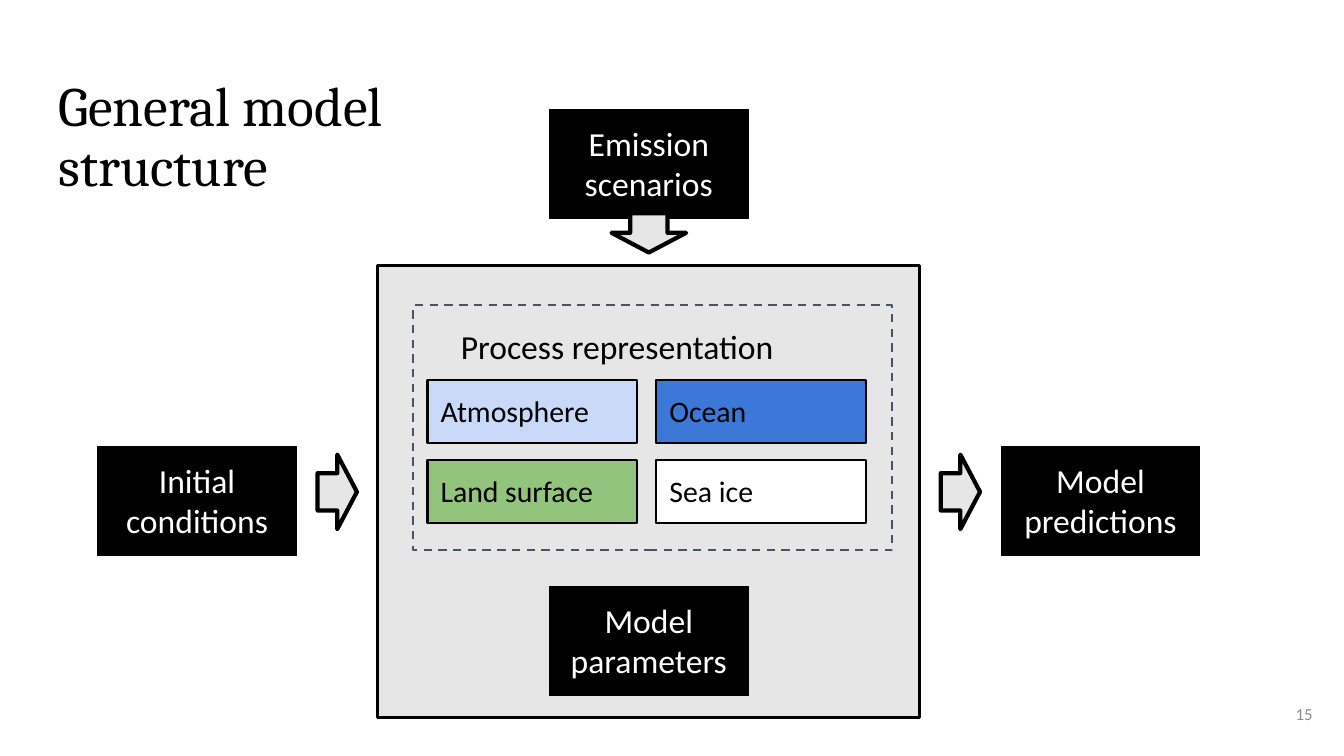
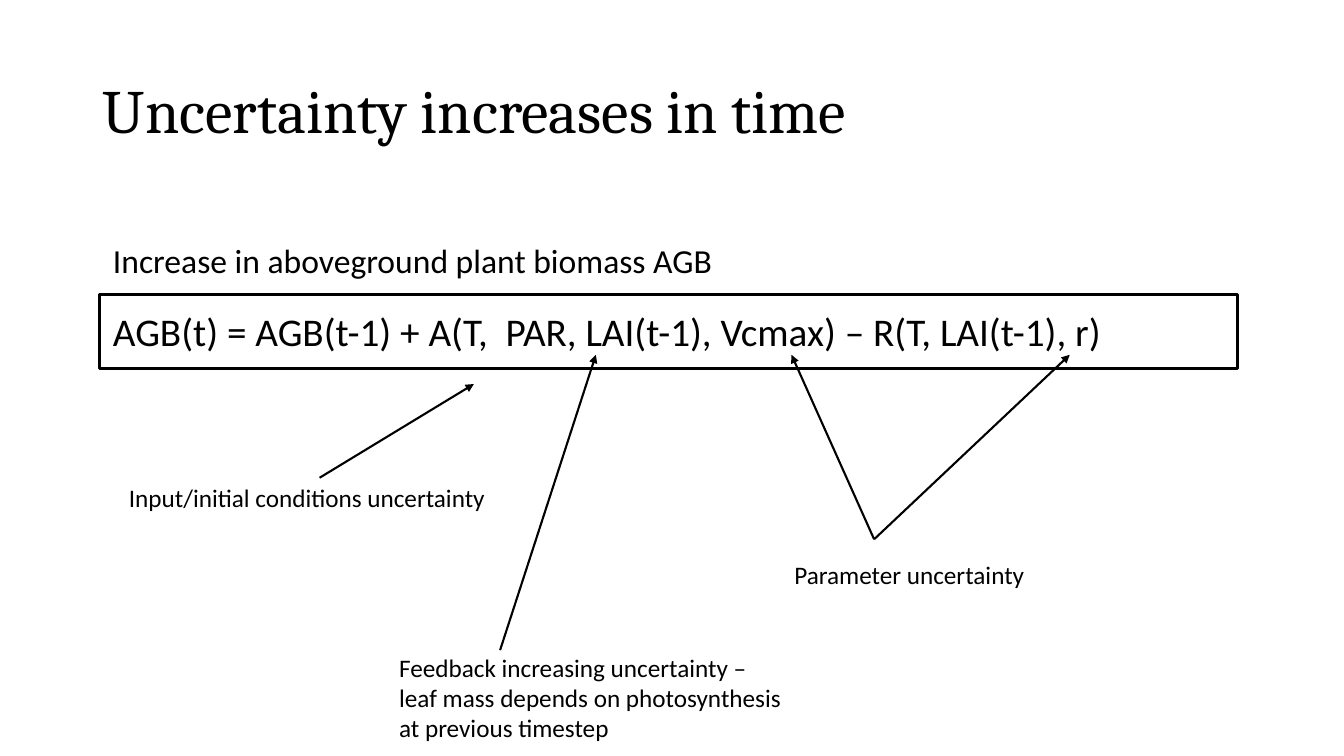
import pptx
import pptx.util
import pptx.dml.color
import pptx.enum.dml
import pptx.enum.shapes
import pptx.enum.text
import pptx.oxml.ns
from lxml import etree

SCALE = 9144  # one px is a hundredth of an inch
COLORS = {
    "black": "000000",
    "white": "FFFFFF",
    "panel": "E7E6E6",
    "slate": "44546A",
    "number": "8C8C8C",
    "sky": "C9DAF8",
    "ocean": "3C78D8",
    "land": "93C47D",
}
BODY, HEAD = "Calibri", "Cambria"
SHAPE = pptx.enum.shapes.MSO_SHAPE
ALIGN = pptx.enum.text.PP_ALIGN
ANCHOR = pptx.enum.text.MSO_ANCHOR
FIT = pptx.enum.text.MSO_AUTO_SIZE
WIDE, SLIM = (13, 13), (10, 5)  # side and top insets


# Shared helpers
def px(value):
    return pptx.util.Emu(value * SCALE)


def color(name):
    return pptx.dml.color.RGBColor.from_string(COLORS[name])


def apply(target, values):
    for name, value in values.items():
        setattr(target, name, value)


def write(frame, words, size, ink="black", font=BODY, align=ALIGN.LEFT,
          inset=WIDE, lead=None, **extra):
    side, top = (px(gap) for gap in inset)
    values = {
        "margin_left": side, "margin_right": side,
        "margin_top": top, "margin_bottom": top,
        "word_wrap": True, "vertical_anchor": ANCHOR.TOP,
        "auto_size": FIT.SHAPE_TO_FIT_TEXT,
    }
    apply(frame, {**values, **extra})
    frame.text = words
    para = frame.paragraphs[0]
    apply(para, {"alignment": align, "line_spacing": lead})
    letters = para.runs[0].font
    apply(letters, {"name": font, "size": pptx.util.Pt(size)})
    letters.color.rgb = color(ink)


# Kinds of element
def title(slide, place, words, size, **extra):
    holder = slide.shapes.title
    apply(holder, dict(zip(("left", "top", "width", "height"), map(px, place))))
    write(holder.text_frame, words, size, font=HEAD, lead=0.9,
          auto_size=FIT.NONE, **extra)


def box(slide, place, fill=None, edge="black", width=1.5, kind=SHAPE.RECTANGLE):
    shape = slide.shapes.add_shape(kind, *map(px, place))
    shape.shadow.inherit = False
    if fill:
        shape.fill.solid()
        shape.fill.fore_color.rgb = color(fill)
    else:
        shape.fill.background()
    shape.line.color.rgb = color(edge)
    shape.line.width = pptx.util.Pt(width)
    return shape


def label(slide, place, words, size, **extra):
    text = slide.shapes.add_textbox(*map(px, place))
    write(text.text_frame, words, size, **extra)


def block(slide, left, top, words):
    shape = box(slide, (left, top, 197, 108), "black", width=0.75)
    write(shape.text_frame, words, 24, "white", align=ALIGN.CENTER)


def arrow(slide, left, top, turn=0):
    shape = box(slide, (left, top, 39, 74), "panel", width=3,
                kind=SHAPE.RIGHT_ARROW)
    shape.rotation = turn


def pointer(slide, start, end):
    line = slide.shapes.add_connector(
        pptx.enum.shapes.MSO_CONNECTOR.STRAIGHT, *map(px, start + end))
    line.line.color.rgb = color("black")
    line.line.width = pptx.util.Pt(1.5)
    tag = pptx.oxml.ns.qn
    stroke = line.line._get_or_add_ln()
    etree.SubElement(stroke, tag("a:tailEnd"), type="triangle")
    etree.SubElement(line._element.spPr, tag("a:effectLst"))


# Slides
def model(slide):
    title(slide, (45, 65, 379, 134), "General model structure", 39.6)
    box(slide, (374, 263, 538, 449), "panel", width=2.25)

    # Process panel
    frame = box(slide, (410, 303, 475, 243), edge="slate")
    frame.line.dash_style = pptx.enum.dml.MSO_LINE.DASH
    label(slide, (444, 310, 399, 67), "Process representation", 24)
    parts = [("Atmosphere", "sky"), ("Ocean", "ocean"),
             ("Land surface", "land"), ("Sea ice", "white")]
    for index, (words, fill) in enumerate(parts):
        row, col = divmod(index, 2)
        cell = box(slide, (424 + 227 * col, 377 + 79 * row, 208, 63), fill)
        write(cell.text_frame, words, 21.3)

    # Inputs and outputs
    for left, top, words in [
        (545, 582, "Model parameters"),
        (97, 443, "Initial conditions"),
        (545, 109, "Emission scenarios"),
        (993, 443, "Model predictions"),
    ]:
        block(slide, left, top, words)
    for left, top, turn in [(315, 451, 0), (933, 451, 0), (624, 194, 90)]:
        arrow(slide, left, top, turn)

    label(slide, (1235, 680, 80, 57), "15", 12, ink="number",
          align=ALIGN.RIGHT, vertical_anchor=ANCHOR.MIDDLE,
          auto_size=FIT.NONE)


def growth(slide):
    title(slide, (92, 40, 1150, 145), "Uncertainty increases in time", 44,
          inset=SLIM, vertical_anchor=ANCHOR.MIDDLE)

    # Formula
    label(slide, (99, 225, 869, 67),
          "Increase in aboveground plant biomass AGB", 24)
    frame = box(slide, (99, 292, 1128, 74), width=2.25)
    write(frame.text_frame,
          "AGB(t) = AGB(t-1) + A(T,  PAR, LAI(t-1), Vcmax) – R(T, LAI(t-1), r)",
          28)

    # Sources of doubt
    for start, end in [
        ((867, 535), (785, 352)),
        ((867, 535), (1061, 352)),
        ((317, 474), (470, 381)),
        ((496, 645), (591, 352)),
    ]:
        pointer(slide, start, end)
    for place, words, wrap in [
        ((778, 550, 251, 40), "Parameter uncertainty", False),
        ((118, 474, 378, 40), "Input/initial conditions uncertainty", False),
        ((386, 642, 405, 101), "Feedback increasing uncertainty – leaf mass "
         "depends on photosynthesis at previous timestep", True),
    ]:
        label(slide, place, words, 18, inset=SLIM, word_wrap=wrap)


def main():
    deck = pptx.Presentation()
    apply(deck, {"slide_width": px(1333), "slide_height": px(750)})
    for build in (model, growth):
        build(deck.slides.add_slide(deck.slide_layouts[5]))
    deck.save("out.pptx")


if __name__ == "__main__":
    main()
